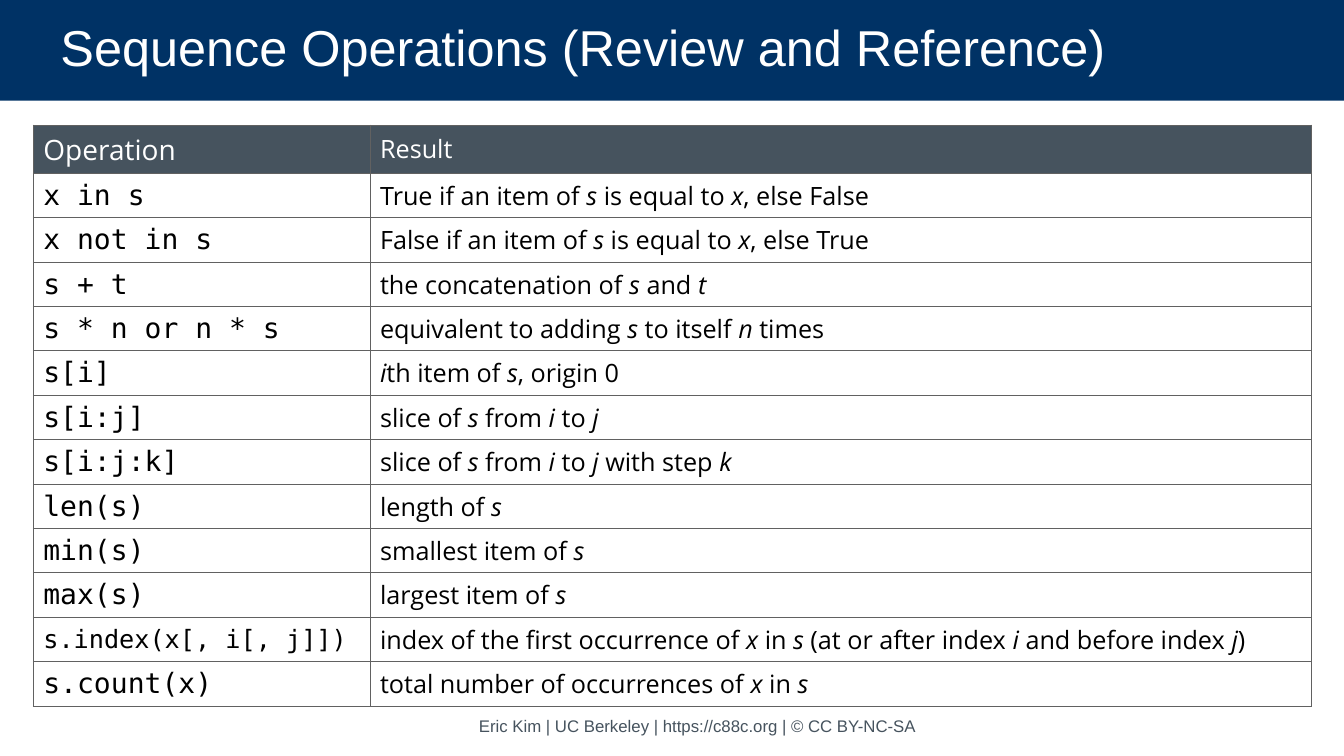
from lxml import etree
from pptx import Presentation
from pptx.dml.color import RGBColor
from pptx.enum.shapes import MSO_SHAPE
from pptx.enum.text import MSO_ANCHOR, PP_ALIGN
from pptx.oxml.ns import qn
from pptx.util import Inches, Pt

RECT = MSO_SHAPE.RECTANGLE
MIDDLE = MSO_ANCHOR.MIDDLE
LEFT, CENTER = PP_ALIGN.LEFT, PP_ALIGN.CENTER
NAVY, SLATE, GRAY, WHITE, BLACK = "003265", "46535E", "616161", "FFFFFF", "000000"
SANS, BODY, MONO = "Arial", "Open Sans", "DejaVu Sans Mono"

OPERATIONS = [
    ("x in s", "True if an item of _s_ is equal to _x_, else False"),
    ("x not in s", "False if an item of _s_ is equal to _x_, else True"),
    ("s + t", "the concatenation of _s_ and _t_"),
    ("s * n or n * s", "equivalent to adding _s_ to itself _n_ times"),
    ("s[i]", "_i_th item of _s_, origin 0"),
    ("s[i:j]", "slice of _s_ from _i_ to _j_"),
    ("s[i:j:k]", "slice of _s_ from _i_ to _j_ with step _k_"),
    ("len(s)", "length of _s_"),
    ("min(s)", "smallest item of _s_"),
    ("max(s)", "largest item of _s_"),
    ("s.index(x[, i[, j]])", "index of the first occurrence of _x_ in _s_ "
     "(at or after index _i_ and before index _j_)"),
    ("s.count(x)", "total number of occurrences of _x_ in _s_"),
]


def rgb(color):
    return RGBColor.from_string(color)


def write(tf, text, size=18, font=BODY, color=BLACK, align=LEFT, spacing=1.0):
    tf.word_wrap = True
    p = tf.paragraphs[0]
    p.alignment = align
    p.line_spacing = spacing
    for i, part in enumerate(text.split("_")):
        if part:
            r = p.add_run()
            r.text = part
            r.font.size = Pt(size)
            r.font.name = font
            r.font.bold = False
            r.font.italic = i % 2 == 1
            r.font.color.rgb = rgb(color)


prs = Presentation()
prs.slide_width, prs.slide_height = Inches(13.33), Inches(7.5)
s = prs.slides.add_slide(prs.slide_layouts[6])

sp = s.shapes.add_shape(RECT, 0, 0, prs.slide_width, Inches(1))
sp.shadow.inherit = False
sp.fill.solid()
sp.fill.fore_color.rgb = rgb(NAVY)
sp.line.fill.background()
tf = sp.text_frame
tf.vertical_anchor = MIDDLE
tf.margin_left, tf.margin_right = Inches(0.6), Inches(1)
write(tf, "Sequence Operations (Review and Reference)", size=36, font=SANS,
      color=WHITE, spacing=0.9)

rows = [("Operation", "Result")] + OPERATIONS
table = s.shapes.add_table(len(rows), 2, Inches(0.33), Inches(1.24),
                           Inches(12.68), Inches(0.42 * len(rows))).table
table.horz_banding = False
table.columns[0].width = Inches(3.34)
table.columns[1].width = Inches(9.34)

for i, row in enumerate(rows):
    table.rows[i].height = Inches(0.42)
    for j, text in enumerate(row):
        cell = table.cell(i, j)
        cell.vertical_anchor = MIDDLE
        tcPr = cell._tc.get_or_add_tcPr()
        for side in ("a:lnL", "a:lnR", "a:lnT", "a:lnB"):
            ln = etree.SubElement(tcPr, qn(side), w=str(Pt(0.75)))
            fill = etree.SubElement(ln, qn("a:solidFill"))
            etree.SubElement(fill, qn("a:srgbClr"), val=GRAY)
        if i == 0:
            cell.fill.solid()
            cell.fill.fore_color.rgb = rgb(SLATE)
        else:
            cell.fill.background()
        write(cell.text_frame, text,
              size=20 if j == 0 and not text.startswith("s.index") else 18,
              font=MONO if i > 0 and j == 0 else BODY,
              color=WHITE if i == 0 else BLACK)

tf = s.shapes.add_textbox(Inches(4.42), Inches(7.04), Inches(5), Inches(0.33)).text_frame
tf.vertical_anchor = MIDDLE
write(tf, "Eric Kim | UC Berkeley | https://c88c.org | © CC BY-NC-SA", size=12,
      font=SANS, color=SLATE, align=CENTER)

prs.save("out.pptx")
